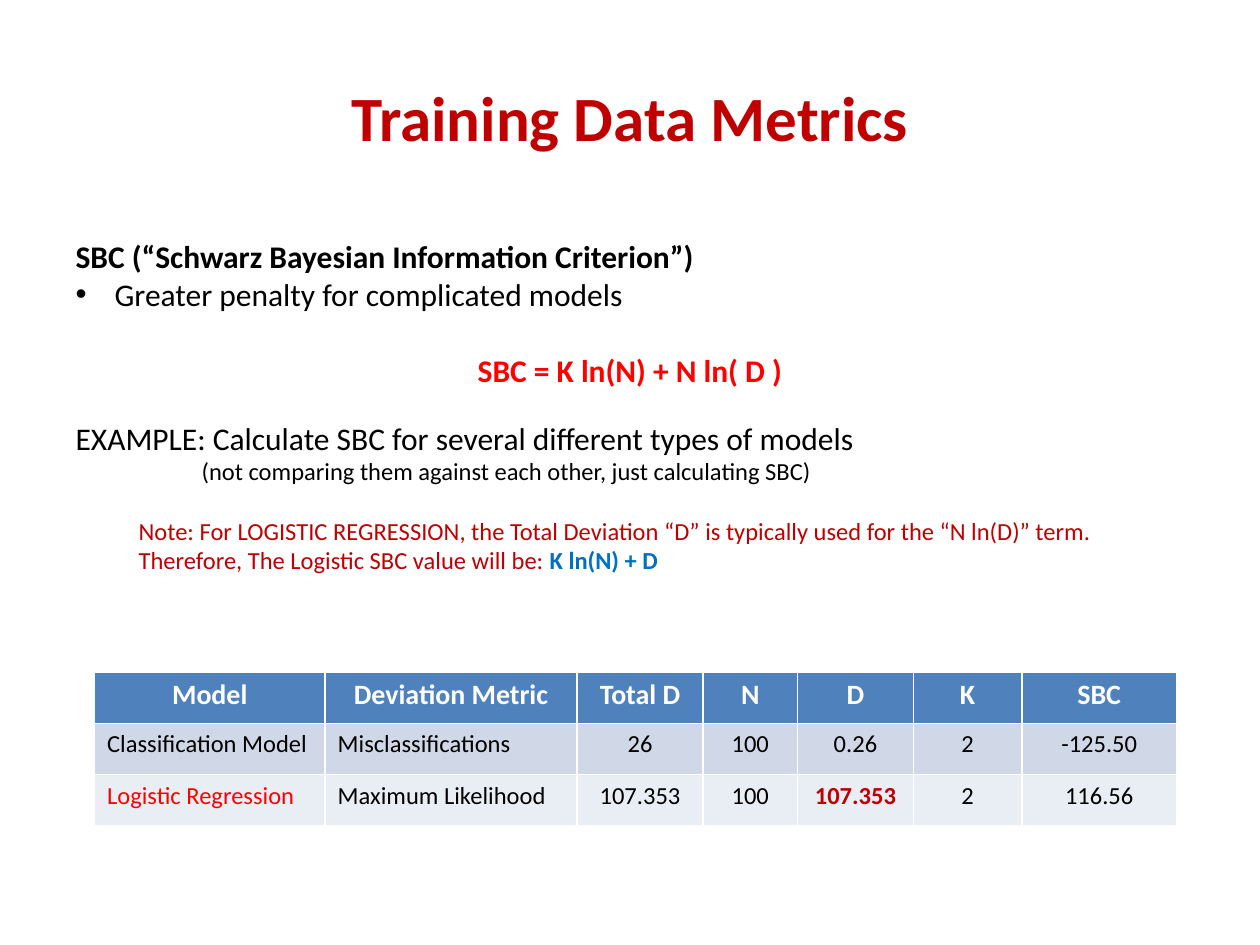
from pptx import Presentation, util as u
from pptx.dml.color import RGBColor
from pptx.enum import text as t
from pptx.oxml import parse_xml
from pptx.oxml.ns import nsdecls

HUES = {"black": "000000", "white": "FFFFFF", "red": "FF0000", "dark": "C00000",
        "blue": "0070C0", "head": "4F81BD", "odd": "D0D8E8", "even": "E9EDF4"}
MID = t.PP_ALIGN.CENTER
LEFT = t.PP_ALIGN.LEFT


class Deck:
    """Holds the style and the current slide; lengths are shares of its size."""

    def __init__(self, font="Calibri"):
        self.font = font
        self.prs = Presentation()
        self.prs.slide_width, self.prs.slide_height = u.Inches(10), u.Inches(7.5)
        self.slide = self.prs.slides.add_slide(self.prs.slide_layouts[1])

    def box(self, x, y, w, h):
        wide, high = self.prs.slide_width, self.prs.slide_height
        return int(x * wide), int(y * high), int(w * wide), int(h * high)

    def place(self, shape, area):
        shape.left, shape.top, shape.width, shape.height = self.box(*area)
        frame = shape.text_frame
        frame.word_wrap = True
        frame.auto_size = t.MSO_AUTO_SIZE.NONE
        return frame

    def paint(self, run, size, hue="black", bold=False):
        font = run.font
        font.name, font.size, font.bold = self.font, u.Pt(size), bold
        font.color.rgb = RGBColor.from_string(HUES[hue])

    def title(self, words, area):
        frame = self.place(self.slide.shapes.title, area)
        frame.text = words
        frame.vertical_anchor = t.MSO_ANCHOR.MIDDLE
        para = frame.paragraphs[0]
        para.alignment = MID
        self.paint(para.runs[0], 36, "dark", True)

    def body(self, items, area):
        frame = self.place(self.slide.placeholders[1], area)
        for i, item in enumerate(items):
            para = frame.add_paragraph() if i else frame.paragraphs[0]
            self.line(para, **item)

    def line(self, para, runs, size=18, gap=0, inset=0, mark=False, align=LEFT):
        para.alignment, para.space_before = align, u.Pt(gap)
        props = para._p.get_or_add_pPr()
        props.set("marL", str(u.Inches(inset)))
        props.set("indent", str(u.Inches(-inset if mark else 0)))
        tag = 'a:buChar {} char="•"' if mark else "a:buNone {}"
        props.append(parse_xml(f"<{tag.format(nsdecls('a'))}/>"))
        for words, *look in runs:
            run = para.add_run()
            run.text = words
            self.paint(run, size, *look)

    def table(self, rows, cols, area, looks):
        grid = self.slide.shapes.add_table(len(rows), len(cols), *self.box(*area)).table
        for col, share in zip(grid.columns, cols):
            col.width = int(share * self.prs.slide_width)
        for r, row in enumerate(rows):
            fill = "head" if r == 0 else "odd" if r % 2 else "even"
            for c, words in enumerate(row):
                base = (16, "white", True) if r == 0 else (14,)
                self.cell(grid.cell(r, c), words, fill, looks.get((r, c), base),
                          MID if r == 0 or c > 1 else LEFT)

    def cell(self, cell, words, fill, look, align):
        cell.text_frame.text = words
        cell.fill.solid()
        cell.fill.fore_color.rgb = RGBColor.from_string(HUES[fill])
        para = cell.text_frame.paragraphs[0]
        para.alignment = align
        self.paint(para.runs[0], *look)


def main():
    deck = Deck()
    deck.title("Training Data Metrics", (0.05, 0.04, 0.9, 0.167))
    deck.body([
        dict(runs=[("SBC (“Schwarz Bayesian Information Criterion”)", "black", True)]),
        dict(runs=[("Greater penalty for complicated models",)], inset=0.31, mark=True),
        dict(runs=[("SBC = K ln(N) + N ln( D )", "red", True)], gap=22, align=MID),
        dict(runs=[("EXAMPLE: Calculate SBC for several different types of models",)], gap=17),
        dict(runs=[("(not comparing them against each other, just calculating SBC)",)],
             size=14, inset=1),
        dict(runs=[("Note: For LOGISTIC REGRESSION, the Total Deviation “D” is typically used "
                    "for the “N ln(D)” term. Therefore, The Logistic SBC value will be: ", "dark"),
                   ("K ln(N) + D", "blue", True)], size=14, gap=17, inset=0.5),
    ], (0.05, 0.244, 0.9, 0.404))
    deck.table([
        ["Model", "Deviation Metric", "Total D", "N", "D", "K", "SBC"],
        ["Classification Model", "Misclassifications", "26", "100", "0.26", "2", "-125.50"],
        ["Logistic Regression", "Maximum Likelihood", "107.353", "100", "107.353", "2", "116.56"],
    ], [0.183, 0.2, 0.1, 0.075, 0.092, 0.086, 0.123], (0.075, 0.711, 0.858, 0.163),
        {(2, 0): (14, "red"), (2, 4): (14, "dark", True)})
    deck.prs.save("out.pptx")


if __name__ == "__main__":
    main()
